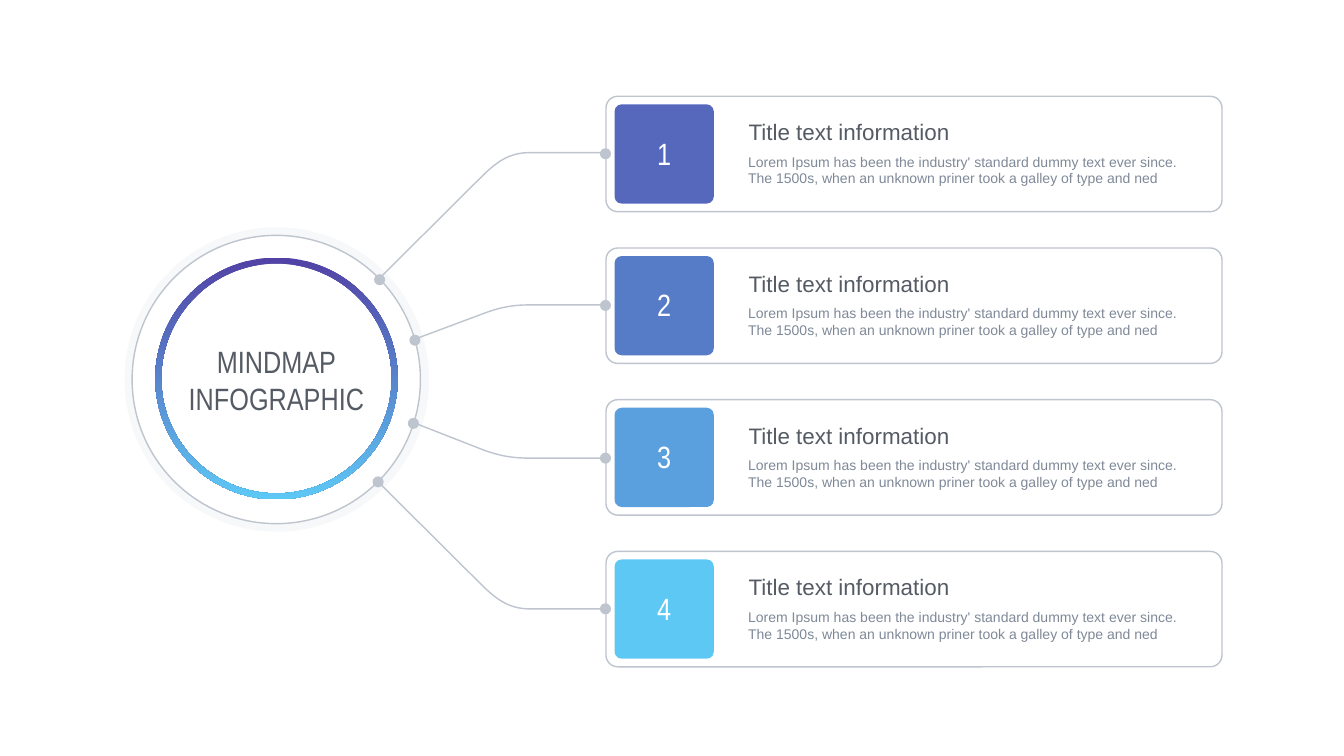
from lxml.etree import SubElement
from pptx import Presentation
from pptx.dml.color import RGBColor
from pptx.enum.shapes import MSO_SHAPE
from pptx.enum.text import MSO_ANCHOR, MSO_AUTO_SIZE, PP_ALIGN
from pptx.oxml.ns import qn
from pptx.util import Inches, Pt

GREY = "BFC5CE"
DARK = "555B64"
MUTED = "7F8998"
CARD_COLORS = ["5568BC", "567BC7", "5AA0DF", "5EC8F5"]
CARD_LEFT, CARD_TOP, CARD_STEP = 12.02, 1.91, 3.01
CARD_WIDTH, CARD_HEIGHT = 12.22, 2.29
DOT_SIZE = 0.22
BODY = ("Lorem Ipsum has been the industry' standard dummy text ever since. "
        "The 1500s, when an unknown priner took a galley of type and ned")
LINKS = [
    {"start": (7.49, 5.56), "rise": 0.41, "end_y": 3.03},
    {"start": (8.2, 6.74), "rise": 0.16, "end_y": 6.05},
    {"start": (8.24, 8.4), "rise": -0.15, "end_y": 9.09},
    {"start": (7.49, 9.55), "rise": -0.41, "end_y": 12.08},
]
DOTS = [(12.01, 3.05), (12.01, 6.06), (12.01, 9.09), (12.01, 12.08),
        (7.5, 9.56), (8.2, 8.4), (8.23, 6.75), (7.53, 5.55)]


def color(code):
    """Return the colour for a hex string."""
    return RGBColor.from_string(code)


def style(shape, fill=None, line=None):
    """Set a plain fill and outline without a shadow."""
    shape.shadow.inherit = False
    if fill:
        shape.fill.solid()
        shape.fill.fore_color.rgb = color(fill)
    else:
        shape.fill.background()
    if line:
        shape.line.color.rgb = color(line)
        shape.line.width = Pt(2)
    else:
        shape.line.fill.background()


def add_preset(page, kind, box, fill=None, line=None, adjust=None):
    """Add a preset shape in a box given in inches."""
    shape = page.shapes.add_shape(kind, *map(Inches, box))
    if adjust is not None:
        shape.adjustments[0] = adjust
    style(shape, fill, line)
    return shape


def add_text(page, box, text, size, font, ink, centered=False, wrap=True):
    """Add a text box with one font for all its paragraphs."""
    shape = page.shapes.add_textbox(*map(Inches, box))
    frame = shape.text_frame
    frame.text = text
    frame.word_wrap = wrap
    frame.auto_size = MSO_AUTO_SIZE.SHAPE_TO_FIT_TEXT
    if centered:
        frame.vertical_anchor = MSO_ANCHOR.MIDDLE
        frame.margin_left = frame.margin_right = Inches(0.06)
        frame.margin_top = frame.margin_bottom = Inches(0.06)
    for para in frame.paragraphs:
        para.alignment = PP_ALIGN.CENTER if centered else PP_ALIGN.LEFT
        for span in para.runs:
            span.font.size = Pt(size)
            span.font.name = font
            span.font.color.rgb = color(ink)


def add_hub(page, left, top, size):
    """Draw the round hub with its halo, gradient ring and heading."""
    halo = add_preset(page, MSO_SHAPE.DONUT, (left, top, size, size),
                      fill="EFF0F4", adjust=0.025)
    tint = halo.fill._xPr.find(qn("a:solidFill"))[0]
    SubElement(tint, qn("a:alpha"), val="45000")

    ring = add_preset(page, MSO_SHAPE.DONUT,
                      (left + 0.61, top + 0.6, 4.81, 4.8), adjust=0.025)
    ring.fill.gradient()
    ring.fill.gradient_angle = 270
    for stop, code in zip(ring.fill.gradient_stops, ("5242A5", "5EC8F5")):
        stop.color.rgb = color(code)

    add_text(page, (left + 0.8, top + 2.23, 4.43, 1.58),
             "MINDMAP\nINFOGRAPHIC", 44, "Arial Narrow", DARK, centered=True)
    add_preset(page, MSO_SHAPE.OVAL, (left + 0.15, top + 0.16, 5.72, 5.72),
               line=GREY)


def curve(points, steps=16):
    """Return points along a cubic curve after its first point."""
    result = []
    for step in range(1, steps + 1):
        t = step / steps
        weights = ((1 - t) ** 3, 3 * t * (1 - t) ** 2, 3 * t * t * (1 - t), t ** 3)
        result.append(tuple(sum(w * point[axis] for w, point in zip(weights, points))
                            for axis in (0, 1)))
    return result


def add_link(page, start, rise, end_y):
    """Draw a line that leaves the hub and bends level into a card."""
    bend = (9.62, end_y + rise)
    arc = curve([bend, (9.81, end_y + 0.58 * rise),
                 (10.05, end_y + 0.04 * rise), (10.45, end_y)])
    route = [bend, *arc, (12.05, end_y)]
    builder = page.shapes.build_freeform(*map(Inches, start))
    builder.add_line_segments([(Inches(x), Inches(y)) for x, y in route], close=False)
    style(builder.convert_to_shape(), line=GREY)


def add_card(page, left, top, number, fill):
    """Draw one outlined card with its numbered tile, title and text."""
    add_preset(page, MSO_SHAPE.ROUNDED_RECTANGLE,
               (left, top, CARD_WIDTH, CARD_HEIGHT), line=GREY, adjust=0.102)
    add_preset(page, MSO_SHAPE.ROUNDED_RECTANGLE,
               (left + 0.17, top + 0.16, 1.97, 1.97), fill=fill, adjust=0.072)
    add_text(page, (left + 0.17, top + 0.7, 1.97, 0.84), str(number),
             44, "Arial Narrow", "FFFFFF", centered=True)
    add_text(page, (left + 2.72, top + 1.08, 8.79, 0.77), BODY, 20, "Arial", MUTED)
    add_text(page, (left + 2.73, top + 0.39, 4.2, 0.64),
             "Title text information", 32, "Arial", DARK, wrap=False)


def add_dot(page, x, y):
    """Draw a joint dot centred on a point."""
    add_preset(page, MSO_SHAPE.OVAL,
               (x - DOT_SIZE / 2, y - DOT_SIZE / 2, DOT_SIZE, DOT_SIZE), fill=GREY)


def main():
    """Build the mind map slide and save it."""
    deck = Presentation()
    deck.slide_width, deck.slide_height = Inches(26.66), Inches(15)
    page = deck.slides.add_slide(deck.slide_layouts[6])
    add_hub(page, 2.47, 4.51, 6.04)
    for link in LINKS:
        add_link(page, **link)
    for index, fill in enumerate(CARD_COLORS):
        add_card(page, CARD_LEFT, CARD_TOP + index * CARD_STEP, index + 1, fill)
    for x, y in DOTS:
        add_dot(page, x, y)
    deck.save("out.pptx")


if __name__ == "__main__":
    main()
